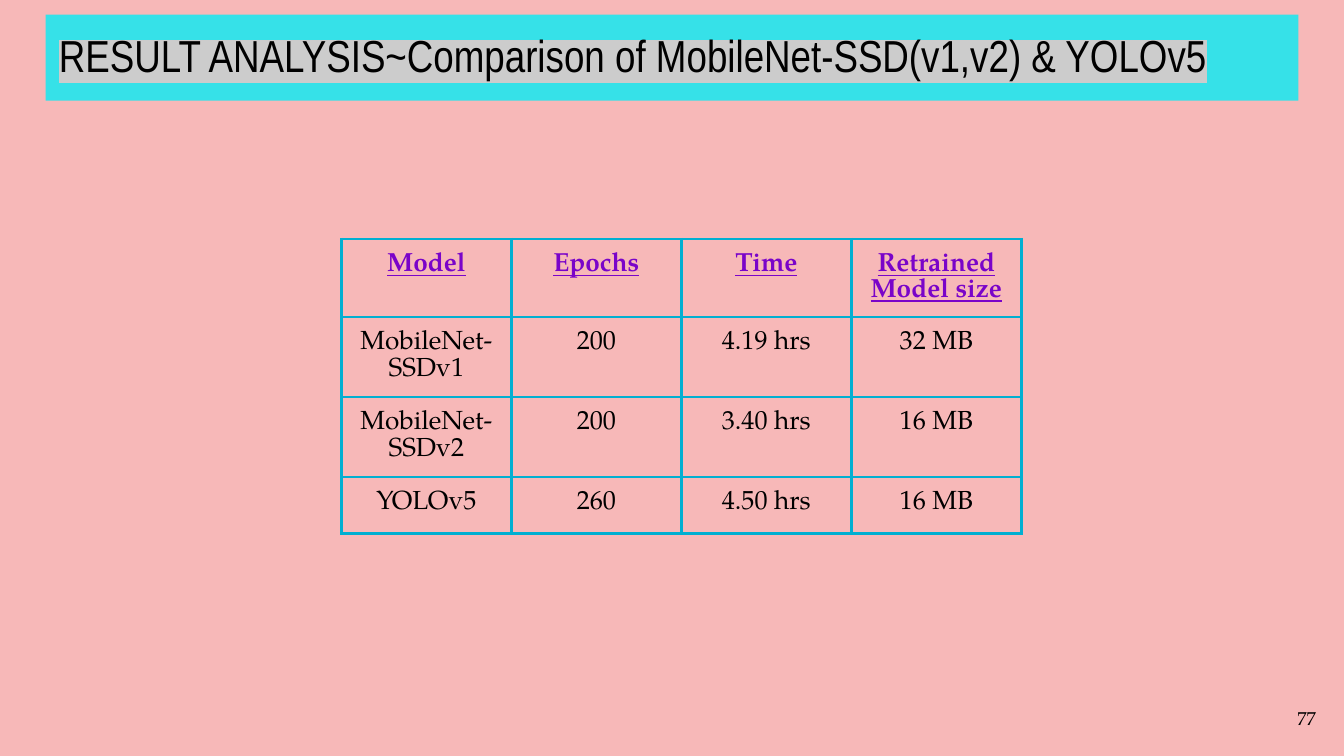
from dataclasses import dataclass

from lxml import etree
from pptx import Presentation
from pptx.dml.color import RGBColor
from pptx.enum.shapes import MSO_SHAPE
from pptx.enum.text import MSO_ANCHOR, PP_ALIGN
from pptx.oxml.ns import qn
from pptx.util import Inches, Pt

RECTANGLE = MSO_SHAPE.RECTANGLE
TOP, MIDDLE = MSO_ANCHOR.TOP, MSO_ANCHOR.MIDDLE
LEFT, CENTER, RIGHT = PP_ALIGN.LEFT, PP_ALIGN.CENTER, PP_ALIGN.RIGHT


@dataclass(frozen=True)
class Theme:
    background: str = "F7B8B8"
    banner: str = "36E1E8"
    highlight: str = "CCCCCC"
    border: str = "01AFD1"
    heading: str = "7A04C9"
    ink: str = "000000"
    title_font: str = "Arial Narrow"
    body_font: str = "TeX Gyre Pagella"
    title_size: int = 24
    table_size: int = 14
    number_size: int = 10
    border_width: float = 1.5
    inset: float = 0.1


THEME = Theme()

RESULTS = [
    ("Model", "Epochs", "Time", "Retrained Model size"),
    ("MobileNet-SSDv1", "200", "4.19 hrs", "32 MB"),
    ("MobileNet-SSDv2", "200", "3.40 hrs", "16 MB"),
    ("YOLOv5", "260", "4.50 hrs", "16 MB"),
]


def set_insets(holder):
    """Give a text frame or a table cell the same margin on every side."""
    holder.margin_left = holder.margin_right = Inches(THEME.inset)
    holder.margin_top = holder.margin_bottom = Inches(THEME.inset)


def add_span(frame, text, size, font, color=THEME.ink, align=LEFT):
    para = frame.paragraphs[0]
    para.alignment = align
    span = para.add_run()
    span.text = text
    span.font.size = Pt(size)
    span.font.name = font
    span.font.color.rgb = RGBColor.from_string(color)
    return span


def add_highlight(span, color):
    properties = span.font._element
    highlight = etree.Element(qn("a:highlight"))
    etree.SubElement(highlight, qn("a:srgbClr"), val=color)
    properties.find(qn("a:solidFill")).addnext(highlight)


def add_borders(cell):
    properties = cell._tc.get_or_add_tcPr()
    for index, side in enumerate(("lnL", "lnR", "lnT", "lnB")):
        line = etree.Element(qn(f"a:{side}"), w=str(Pt(THEME.border_width)))
        fill = etree.SubElement(line, qn("a:solidFill"))
        etree.SubElement(fill, qn("a:srgbClr"), val=THEME.border)
        properties.insert(index, line)


def add_title(page, left, top, width, height):
    banner = page.shapes.add_shape(
        RECTANGLE, Inches(left), Inches(top), Inches(width), Inches(height))
    banner.shadow.inherit = False
    banner.fill.solid()
    banner.fill.fore_color.rgb = RGBColor.from_string(THEME.banner)
    banner.line.fill.background()
    frame = banner.text_frame
    frame.word_wrap = True
    frame.vertical_anchor = TOP
    set_insets(frame)
    span = add_span(
        frame, "RESULT ANALYSIS~Comparison of MobileNet-SSD(v1,v2) & YOLOv5",
        THEME.title_size, THEME.title_font)
    add_highlight(span, THEME.highlight)


def add_results(page, left, top, width, row_height):
    """Rows share a minimum height and grow where their text wraps."""
    table = page.shapes.add_table(
        len(RESULTS), len(RESULTS[0]), Inches(left), Inches(top),
        Inches(width), Inches(row_height * len(RESULTS))).table
    table.first_row = table.horz_banding = False
    for column in table.columns:
        column.width = Inches(width / len(RESULTS[0]))
    for row_index, values in enumerate(RESULTS):
        table.rows[row_index].height = Inches(row_height)
        is_header = row_index == 0
        for column_index, value in enumerate(values):
            cell = table.cell(row_index, column_index)
            cell.fill.background()
            cell.vertical_anchor = TOP
            set_insets(cell)
            add_borders(cell)
            span = add_span(
                cell.text_frame, value, THEME.table_size, THEME.body_font,
                THEME.heading if is_header else THEME.ink, CENTER)
            span.font.bold = span.font.underline = is_header


def add_page_number(page, left, top, width, height):
    box = page.shapes.add_textbox(
        Inches(left), Inches(top), Inches(width), Inches(height))
    frame = box.text_frame
    frame.word_wrap = True
    frame.vertical_anchor = MIDDLE
    set_insets(frame)
    add_span(frame, "77", THEME.number_size, THEME.body_font, align=RIGHT)


def main():
    deck = Presentation()
    deck.slide_width, deck.slide_height = Inches(10), Inches(10 * 9 / 16)
    page = deck.slides.add_slide(deck.slide_layouts[6])
    page.background.fill.solid()
    page.background.fill.fore_color.rgb = RGBColor.from_string(THEME.background)
    add_title(page, 0.34, 0.11, 9.32, 0.64)
    add_results(page, 2.54, 1.78, 5.06, 0.42)
    add_page_number(page, 9.29, 5.13, 0.6, 0.43)
    deck.save("out.pptx")


if __name__ == "__main__":
    main()
